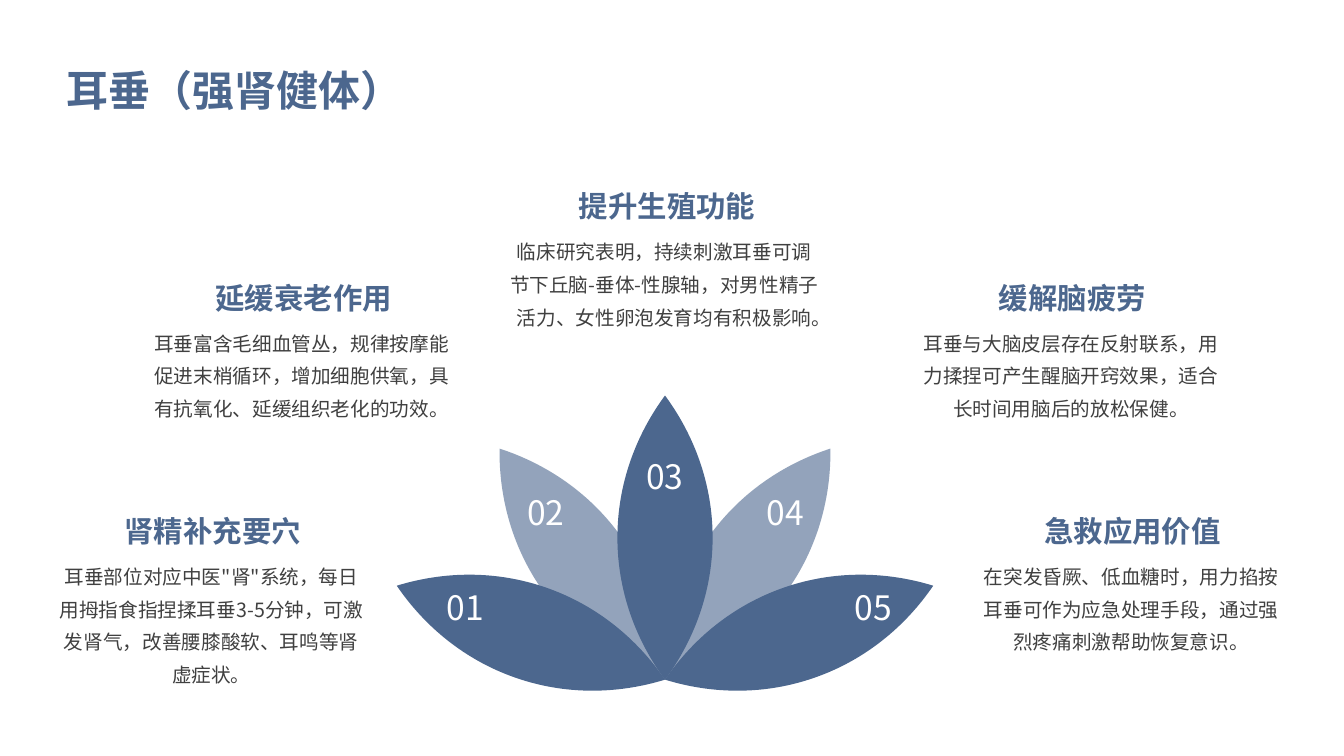
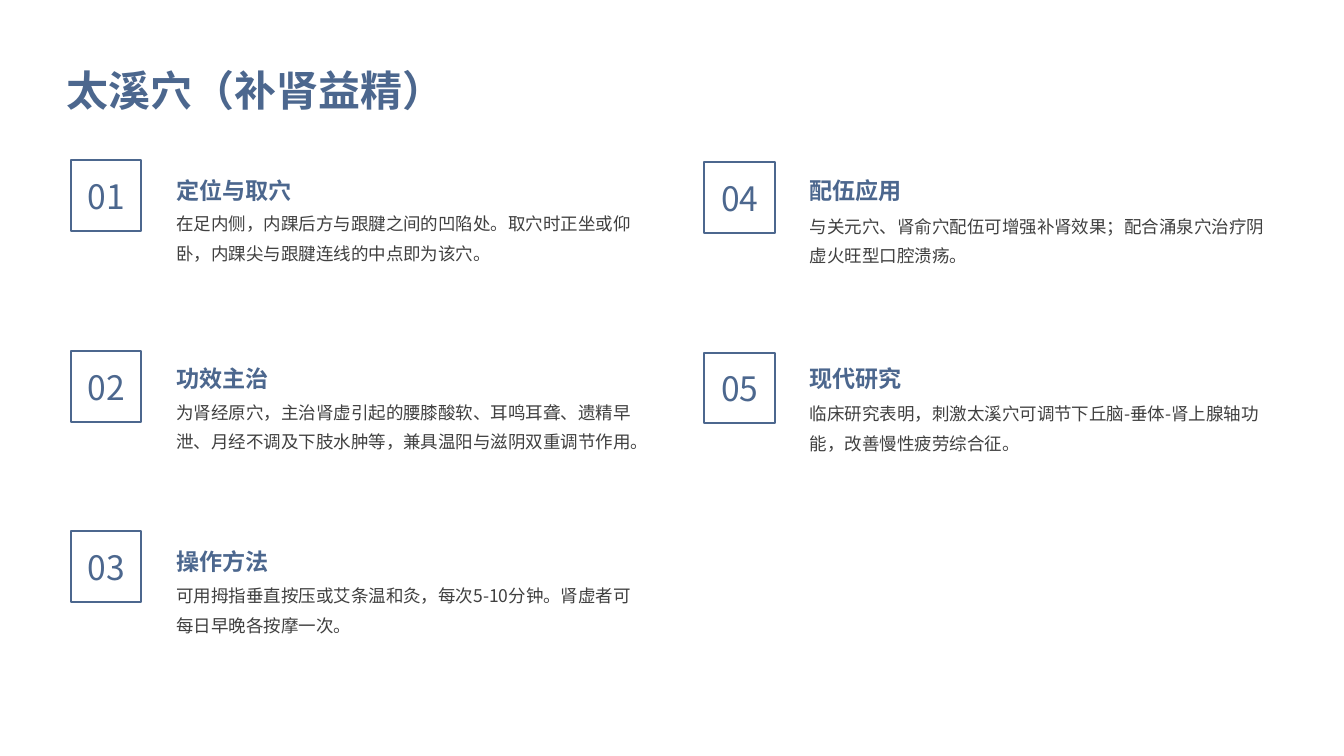
from dataclasses import dataclass
from math import cos, radians, sin

from lxml import etree
from pptx import Presentation
from pptx.dml.color import RGBColor
from pptx.enum.shapes import MSO_SHAPE
from pptx.enum.text import MSO_ANCHOR, PP_ALIGN
from pptx.oxml.ns import qn
from pptx.util import Emu, Pt

RECTANGLE = MSO_SHAPE.RECTANGLE
TOP, MIDDLE = MSO_ANCHOR.TOP, MSO_ANCHOR.MIDDLE
LEFT, CENTER = PP_ALIGN.LEFT, PP_ALIGN.CENTER
EMU_PER_PX = 6350


@dataclass(frozen=True)
class Box:
    """A rectangle in px."""
    left: int
    top: int
    width: int
    height: int


@dataclass(frozen=True)
class TextStyle:
    """The look of one kind of text, with insets in px."""
    size: float
    color: str
    bold: bool = False
    align: int = LEFT
    anchor: int = MIDDLE
    spacing: float = 1.0
    insets: tuple = (14, 7, 14, 7)


@dataclass(frozen=True)
class Theme:
    """Colours, font and text styles of the deck."""
    font = "Noto Sans CJK SC"
    blue = "4C678E"
    gray = "404040"
    white = "FFFFFF"
    outline = 1.5
    pale_opacity = 60
    title = TextStyle(30, blue, True, spacing=1.4, insets=(20, 20, 9, 20))
    petal_heading = TextStyle(21, blue, True, CENTER, spacing=1.2, insets=(10, 5, 10, 5))
    petal_body = TextStyle(14, gray, False, CENTER, TOP, 1.4, (10, 5, 10, 5))
    petal_number = TextStyle(24, white, align=CENTER)
    point_heading = TextStyle(16.5, blue, True, spacing=1.5, insets=(20, 20, 9, 20))
    point_body = TextStyle(12.5, gray, anchor=TOP, spacing=1.4, insets=(20, 9, 9, 9))
    point_number = TextStyle(24, blue, align=CENTER)


THEME = Theme()
PAGE = Box(0, 0, 1920, 1080)
TITLE_BOX = Box(75, 42, 1770, 144)
FLOWER_BOX = Box(568, 565, 764, 429)
PETAL_LENGTH = 406

PETAL_START = (0, 0)
PETAL_CURVES = (
    ((-42, -57), (-68, -127), (-68, -203)),
    ((-68, -279), (-42, -349), (0, -406)),
    ((42, -349), (68, -279), (68, -203)),
    ((68, -127), (42, -57), PETAL_START),
)
PETALS = ((70.7, False), (35.6, True), (-70.7, False), (-35.6, True), (0, False))
PETAL_NUMBERS = ((30, 264), (145, 128), (315, 77), (487, 128), (613, 264))

EARLOBE_NOTES = (
    (71, 714, 2, "肾精补充要穴",
     "耳垂部位对应中医\"肾\"系统，每日用拇指食指捏揉耳垂3-5分钟，可激发肾气，改善腰膝酸软、耳鸣等肾虚症状。"),
    (200, 381, 3, "延缓衰老作用",
     "耳垂富含毛细血管丛，规律按摩能促进末梢循环，增加细胞供氧，具有抗氧化、延缓组织老化的功效。"),
    (718, 250, 4, "提升生殖功能",
     "临床研究表明，持续刺激耳垂可调节下丘脑-垂体-性腺轴，对男性精子活力、女性卵泡发育均有积极影响。"),
    (1299, 381, 2, "缓解脑疲劳",
     "耳垂与大脑皮层存在反射联系，用力揉捏可产生醒脑开窍效果，适合长时间用脑后的放松保健。"),
    (1385, 714, 2, "急救应用价值",
     "在突发昏厥、低血糖时，用力掐按耳垂可作为应急处理手段，通过强烈疼痛刺激帮助恢复意识。"),
)

TAIXI_POINTS = (
    (101, 229, 229, 284, "定位与取穴",
     "在足内侧，内踝后方与跟腱之间的凹陷处。取穴时正坐或仰卧，内踝尖与跟腱连线的中点即为该穴。"),
    (101, 502, 498, 553, "功效主治",
     "为肾经原穴，主治肾虚引起的腰膝酸软、耳鸣耳聋、遗精早泄、月经不调及下肢水肿等，兼具温阳与滋阴双重调节作用。"),
    (101, 759, 760, 815, "操作方法",
     "可用拇指垂直按压或艾条温和灸，每次5-10分钟。肾虚者可每日早晚各按摩一次。"),
    (1006, 232, 229, 287, "配伍应用",
     "与关元穴、肾俞穴配伍可增强补肾效果；配合涌泉穴治疗阴虚火旺型口腔溃疡。"),
    (1006, 504, 498, 555, "现代研究",
     "临床研究表明，刺激太溪穴可调节下丘脑-垂体-肾上腺轴功能，改善慢性疲劳综合征。"),
)


def px(length):
    """Turn px into EMU."""
    return Emu(round(length * EMU_PER_PX))


def place(box):
    """Return the four EMU lengths of a box."""
    return px(box.left), px(box.top), px(box.width), px(box.height)


def color(value):
    """Return an RGB colour from its hex text."""
    return RGBColor.from_string(value)


def add_text(page, box, text, style):
    """Add a text box with one styled paragraph."""
    frame = page.shapes.add_textbox(*place(box)).text_frame
    frame.word_wrap = True
    frame.vertical_anchor = style.anchor
    (frame.margin_left, frame.margin_top,
     frame.margin_right, frame.margin_bottom) = map(px, style.insets)
    para = frame.paragraphs[0]
    para.alignment = style.align
    para.line_spacing = style.spacing
    span = para.add_run()
    span.text = text
    span.font.size = Pt(style.size)
    span.font.bold = style.bold
    span.font.name = THEME.font
    span.font.color.rgb = color(style.color)
    east_asian = etree.SubElement(span.font._element, qn("a:ea"))
    east_asian.set("typeface", THEME.font)


def add_page(deck, title):
    """Add a blank page with its title."""
    page = deck.slides.add_slide(deck.slide_layouts[6])
    add_text(page, TITLE_BOX, title, THEME.title)
    return page


def bend_segments(shape):
    """Turn each three line segments of an outline into one cubic curve."""
    outline = shape._element.spPr.find(".//" + qn("a:path"))
    lines = outline.findall(qn("a:lnTo"))
    for first in range(0, len(lines), 3):
        curve = etree.Element(qn("a:cubicBezTo"))
        lines[first].addprevious(curve)
        for line in lines[first:first + 3]:
            curve.append(line[0])
            outline.remove(line)


def add_petal(page, base, angle, pale):
    """Add one petal turned about the base of the flower."""
    turn = radians(angle)
    points = [(px(base[0] + x * cos(turn) - y * sin(turn)),
               px(base[1] + x * sin(turn) + y * cos(turn)))
              for curve in PETAL_CURVES for x, y in curve]
    builder = page.shapes.build_freeform(px(base[0]), px(base[1]))
    builder.add_line_segments(points, close=True)
    petal = builder.convert_to_shape()
    bend_segments(petal)
    petal.shadow.inherit = False
    petal.line.fill.background()
    petal.fill.solid()
    petal.fill.fore_color.rgb = color(THEME.blue)
    if pale:
        tint = petal._element.spPr.find(qn("a:solidFill"))[0]
        alpha = etree.SubElement(tint, qn("a:alpha"))
        alpha.set("val", str(THEME.pale_opacity * 1000))


def add_flower(page, box):
    """Add the five petals and their numbers."""
    base = (box.left + box.width // 2, box.top + PETAL_LENGTH)
    for angle, pale in PETALS:
        add_petal(page, base, angle, pale)
    for number, (left, top) in enumerate(PETAL_NUMBERS, 1):
        number_box = Box(box.left + left, box.top + top, 134, 76)
        add_text(page, number_box, f"{number:02}", THEME.petal_number)


def add_note(page, box, heading_shift, heading, body):
    """Add a centred heading over its body text."""
    add_text(page, Box(box.left + heading_shift, box.top, box.width, 78),
             heading, THEME.petal_heading)
    add_text(page, Box(box.left, box.top + 74, box.width, box.height - 74),
             body, THEME.petal_body)


def add_point(page, square_box, heading_top, body_top, number, heading, body):
    """Add a numbered square with heading and body to its right."""
    square = page.shapes.add_shape(RECTANGLE, *place(square_box))
    square.shadow.inherit = False
    square.fill.background()
    square.line.color.rgb = color(THEME.blue)
    square.line.width = Pt(THEME.outline)
    add_text(page, Box(square_box.left - 16, square_box.top + 10, 134, 82),
             f"{number:02}", THEME.point_number)
    text_left = square_box.left + 131
    add_text(page, Box(text_left, heading_top, 664, 65), heading, THEME.point_heading)
    add_text(page, Box(text_left, body_top, 688, 177), body, THEME.point_body)


def build_earlobe_page(deck):
    """Build the page with the flower and five notes."""
    page = add_page(deck, "耳垂（强肾健体）")
    add_flower(page, FLOWER_BOX)
    for left, top, heading_shift, heading, body in EARLOBE_NOTES:
        add_note(page, Box(left, top, 462, 294), heading_shift, heading, body)


def build_taixi_page(deck):
    """Build the page with five numbered points."""
    page = add_page(deck, "太溪穴（补肾益精）")
    for number, point in enumerate(TAIXI_POINTS, 1):
        left, top, heading_top, body_top, heading, body = point
        add_point(page, Box(left, top, 101, 101), heading_top, body_top,
                  number, heading, body)


def main():
    """Build and save the deck."""
    deck = Presentation()
    deck.slide_width, deck.slide_height = px(PAGE.width), px(PAGE.height)
    build_earlobe_page(deck)
    build_taixi_page(deck)
    deck.save("out.pptx")


if __name__ == "__main__":
    main()
